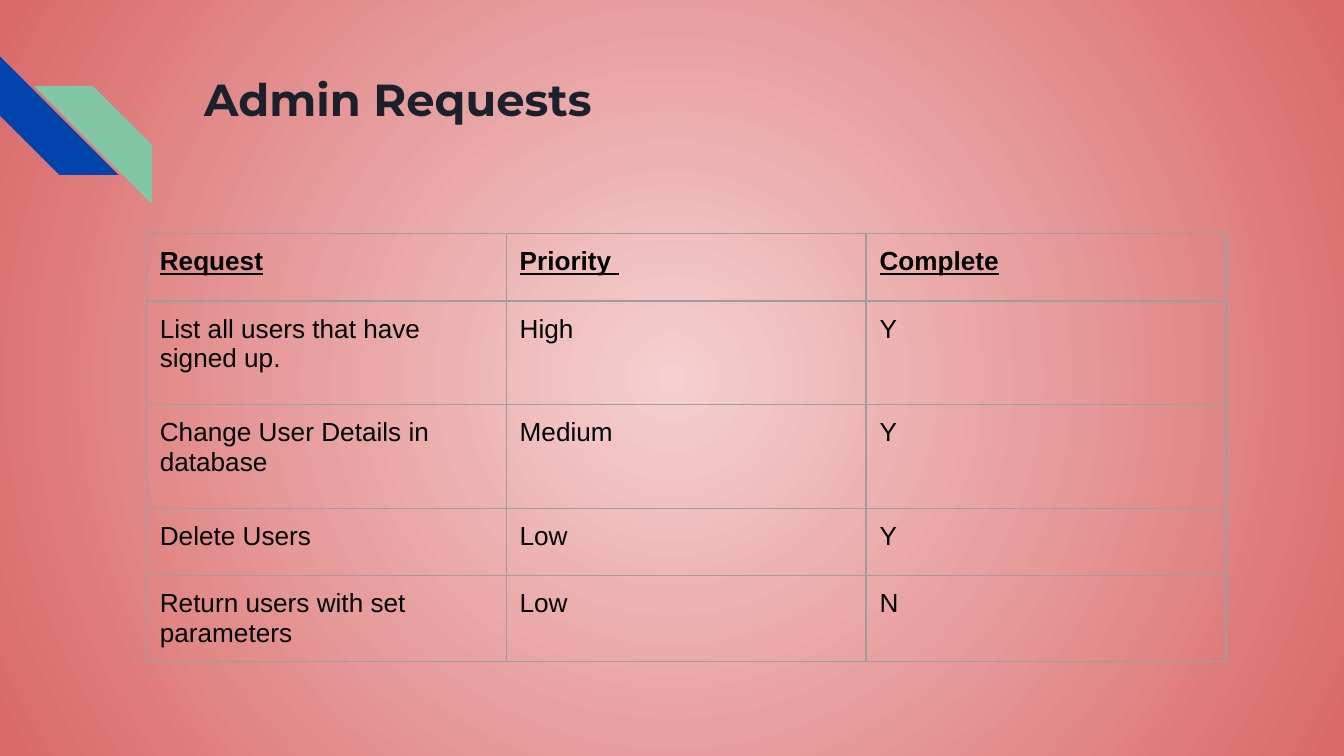
from dataclasses import dataclass

from lxml import etree
from pptx import Presentation
from pptx.dml.color import RGBColor
from pptx.enum.shapes import MSO_SHAPE
from pptx.enum.text import MSO_ANCHOR, MSO_AUTO_SIZE, PP_ALIGN
from pptx.oxml.ns import qn
from pptx.util import Pt

STRIPE = MSO_SHAPE.DIAGONAL_STRIPE
TOP = MSO_ANCHOR.TOP
LEFT = PP_ALIGN.LEFT
NO_AUTOFIT = MSO_AUTO_SIZE.NONE
TITLE_ONLY = 5
INSET = Pt(7.2)

COLORS = {
    "center": "F5D0D0",
    "edge": "D96868",
    "blue": "0145AC",
    "green": "82C7A5",
    "title": "1B212C",
    "text": "000000",
    "border": "9E9E9E",
}


@dataclass
class Stripe:
    left: float
    top: float
    color: str
    rotation: int = 0
    flipped: bool = False


STRIPES = [
    Stripe(0, 30.2, "blue", rotation=270),
    Stripe(18, 46.1, "green", flipped=True),
]
STRIPE_SIZE = 63.5

ROWS = [
    ("Request", "Priority ", "Complete"),
    ("List all users that have signed up.", "High", "Y"),
    ("Change User Details in database", "Medium", "Y"),
    ("Delete Users", "Low", "Y"),
    ("Return users with set parameters", "Low", "N"),
]
ROW_HEIGHTS = [36, 55.6, 55.6, 36, 45.8]
COLUMN_WIDTH = 192.8


def rgb(name: str) -> RGBColor:
    return RGBColor.from_string(COLORS[name])


def write(tf, text: str, *, size: float, font: str, color: str,
          bold: bool = False, underline: bool = False) -> None:
    tf.word_wrap = True
    p = tf.paragraphs[0]
    p.alignment = LEFT
    r = p.add_run()
    r.text = text
    r.font.size = Pt(size)
    r.font.name = font
    r.font.bold = bold
    r.font.underline = underline
    r.font.color.rgb = rgb(color)


def set_insets(box) -> None:
    """Give a text frame or table cell equal margins and top anchoring."""
    box.margin_left = box.margin_right = INSET
    box.margin_top = box.margin_bottom = INSET
    box.vertical_anchor = TOP


def paint_background(s) -> None:
    fill = s.background.fill
    fill.gradient()
    for stop, name in zip(fill.gradient_stops, ("center", "edge")):
        stop.color.rgb = rgb(name)
    # Turn the linear gradient into a circular one
    lin = next(s.background._element.iter(qn("a:lin")))
    circle = etree.Element(qn("a:path"), {"path": "circle"})
    etree.SubElement(circle, qn("a:fillToRect"),
                     {side: "50000" for side in "ltrb"})
    lin.getparent().replace(lin, circle)


def draw_stripe(s, stripe: Stripe) -> None:
    sp = s.shapes.add_shape(STRIPE, Pt(stripe.left), Pt(stripe.top),
                            Pt(STRIPE_SIZE), Pt(STRIPE_SIZE))
    sp.shadow.inherit = False
    sp.adjustments[0] = 0.5
    sp.fill.solid()
    sp.fill.fore_color.rgb = rgb(stripe.color)
    sp.line.fill.background()
    sp.rotation = stripe.rotation
    if stripe.flipped:
        sp._element.spPr.find(qn("a:xfrm")).set("flipH", "1")


def add_borders(cell, color: str, width: float) -> None:
    tc_pr = cell._tc.get_or_add_tcPr()
    for i, side in enumerate(("lnL", "lnR", "lnT", "lnB")):
        ln = etree.Element(qn(f"a:{side}"), {"w": str(Pt(width))})
        solid = etree.SubElement(ln, qn("a:solidFill"))
        etree.SubElement(solid, qn("a:srgbClr"), {"val": COLORS[color]})
        tc_pr.insert(i, ln)


def draw_table(s, left: float, top: float) -> None:
    columns = len(ROWS[0])
    table = s.shapes.add_table(
        len(ROWS), columns, Pt(left), Pt(top),
        Pt(COLUMN_WIDTH * columns), Pt(sum(ROW_HEIGHTS))).table
    table.first_row = table.horz_banding = False
    for column in table.columns:
        column.width = Pt(COLUMN_WIDTH)
    for i, (texts, height) in enumerate(zip(ROWS, ROW_HEIGHTS)):
        table.rows[i].height = Pt(height)
        header = i == 0
        for j, text in enumerate(texts):
            cell = table.cell(i, j)
            set_insets(cell)
            cell.fill.background()
            add_borders(cell, "border", 0.75)
            write(cell.text_frame, text, size=14, font="Arial",
                  color="text", bold=header, underline=header)


def main() -> None:
    prs = Presentation()
    prs.slide_width, prs.slide_height = Pt(720), Pt(405)
    s = prs.slides.add_slide(prs.slide_layouts[TITLE_ONLY])
    paint_background(s)

    # Corner decoration
    for stripe in STRIPES:
        draw_stripe(s, stripe)

    # Title
    title = s.shapes.title
    title.left, title.top = Pt(102.2), Pt(31)
    title.width, title.height = Pt(554.4), Pt(72)
    tf = title.text_frame
    set_insets(tf)
    tf.auto_size = NO_AUTOFIT
    write(tf, "Admin Requests", size=24, font="Montserrat",
          color="title", bold=True)

    # Request list
    draw_table(s, 78.4, 125.2)

    prs.save("out.pptx")


if __name__ == "__main__":
    main()
